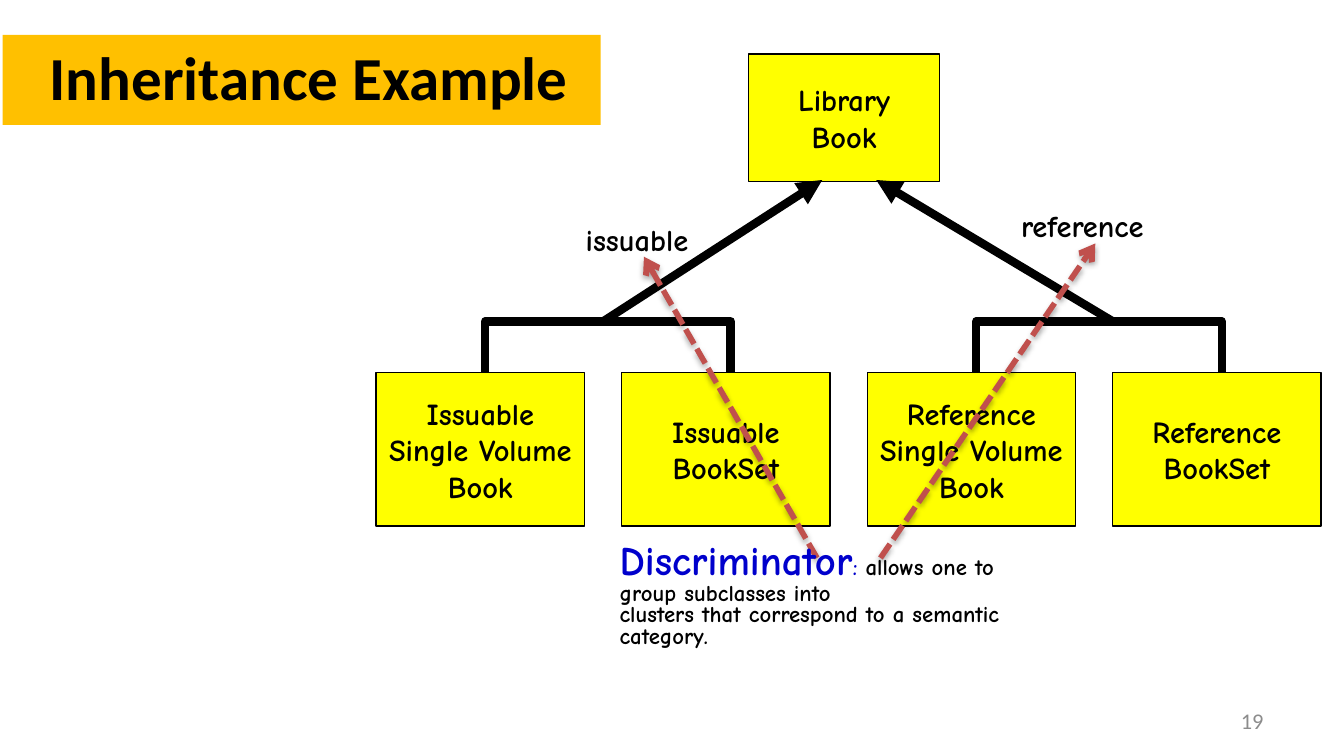
from lxml import etree
from pptx import Presentation
from pptx.dml.color import RGBColor
from pptx.enum.dml import MSO_LINE
from pptx.enum.shapes import MSO_CONNECTOR, MSO_SHAPE
from pptx.enum.text import MSO_ANCHOR, PP_ALIGN
from pptx.oxml import parse_xml
from pptx.oxml.ns import nsdecls, qn
from pptx.util import Cm, Pt

RECTANGLE = MSO_SHAPE.RECTANGLE
STRAIGHT = MSO_CONNECTOR.STRAIGHT
DASH = MSO_LINE.SQUARE_DOT
TOP, MIDDLE = MSO_ANCHOR.TOP, MSO_ANCHOR.MIDDLE
LEFT, CENTER, RIGHT = PP_ALIGN.LEFT, PP_ALIGN.CENTER, PP_ALIGN.RIGHT

SHADOW = (
    f'<a:effectLst {nsdecls("a")}><a:outerShdw blurRad="40000" dist="23000" dir="5400000">'
    '<a:srgbClr val="000000"><a:alpha val="35000"/></a:srgbClr></a:outerShdw></a:effectLst>'
)
NO_SHADOW = f'<a:effectLst {nsdecls("a")}/>'


def color(value):
    return RGBColor.from_string(value)


def write(shape, lines, size, font, align, anchor=MIDDLE, wrap=False, spacing=1, bold=True):
    frame = shape.text_frame
    frame_format = {"word_wrap": wrap, "vertical_anchor": anchor, "margin_left": 0,
                    "margin_right": 0, "margin_top": 0, "margin_bottom": 0}
    for name, value in frame_format.items():
        setattr(frame, name, value)
    for index, runs in enumerate(lines):
        paragraph = frame.add_paragraph() if index else frame.paragraphs[0]
        paragraph.alignment = align
        paragraph.line_spacing = spacing
        paragraph.space_before = Pt(0)
        for text, run_color, run_size in runs:
            run = paragraph.add_run()
            run.text = text
            run.font.color.rgb = color(run_color)
            font_format = {"name": font, "size": Pt(run_size or size), "bold": bold}
            for name, value in font_format.items():
                setattr(run.font, name, value)


presentation = Presentation()
presentation.slide_width = Cm(25.4)
presentation.slide_height = Cm(14.28)
slide = presentation.slides.add_slide(presentation.slide_layouts[5])
shapes = slide.shapes

title = shapes.title
title_format = {"left": Cm(0.05), "top": Cm(0.66), "width": Cm(11.3), "height": Cm(1.7)}
for name, value in title_format.items():
    setattr(title, name, value)
title.fill.solid()
title.fill.fore_color.rgb = color("FFC000")
write(title, [[("Inheritance Example", "000000", None)]], 32.7, "Calibri", CENTER,
      wrap=True, spacing=0.94)
title.text_frame.margin_left = Cm(0.28)

class_left, class_step, class_top = 7.11, 4.64, 7.04
class_boxes = [(14.15, 1.02, 3.61, 2.41, ["Library", "Book"])]
subclasses = [
    ["Issuable", "Single Volume", "Book"],
    ["Issuable", "BookSet"],
    ["Reference", "Single Volume", "Book"],
    ["Reference", "BookSet"],
]
for index, lines in enumerate(subclasses):
    class_boxes.append((class_left + index * class_step, class_top, 3.94, 2.9, lines))
for left, top, width, height, lines in class_boxes:
    box = shapes.add_shape(RECTANGLE, Cm(left), Cm(top), Cm(width), Cm(height))
    box.shadow.inherit = False
    box.fill.solid()
    box.fill.fore_color.rgb = color("FFFF00")
    box.line.color.rgb = color("000000")
    box.line.width = Pt(0.75)
    write(box, [[(line, "000000", None)] for line in lines], 16.3, "Comic Neue", CENTER)

bracket_top = 6.07
for index in (0, 2):
    left = class_left + index * class_step + 2.06
    right = left + class_step
    builder = shapes.build_freeform(Cm(left), Cm(class_top))
    builder.add_line_segments(
        [(Cm(left), Cm(bracket_top)), (Cm(right), Cm(bracket_top)), (Cm(right), Cm(class_top))],
        close=False)
    bracket = builder.convert_to_shape()
    bracket.shadow.inherit = False
    bracket.fill.background()
    bracket.line.color.rgb = color("000000")
    bracket.line.width = Pt(4.5)
    etree.SubElement(bracket.line._get_or_add_ln(), qn("a:round"))

arrows = [
    (11.4, bracket_top, 15.54, 3.4, "000000", 4.5, None, "triangle", NO_SHADOW),
    (21.03, bracket_top, 16.56, 3.4, "000000", 4.5, None, "triangle", NO_SHADOW),
    (15.44, 10.54, 12.17, 4.85, "C0504D", 3, DASH, "arrow", SHADOW),
    (16.64, 10.54, 20.7, 4.6, "C0504D", 3, DASH, "arrow", SHADOW),
]
for start_x, start_y, end_x, end_y, line_color, width, dash, head, effect in arrows:
    arrow = shapes.add_connector(STRAIGHT, Cm(start_x), Cm(start_y), Cm(end_x), Cm(end_y))
    arrow.line.color.rgb = color(line_color)
    arrow.line.width = Pt(width)
    if dash:
        arrow.line.dash_style = dash
    etree.SubElement(arrow.line._get_or_add_ln(), qn("a:tailEnd"), type=head)
    arrow._element.spPr.append(parse_xml(effect))

labels = [
    (11.07, 4.17, 2.18, 0.69, "issuable"),
    (19.3, 3.91, 2.74, 0.69, "reference"),
]
for left, top, width, height, text in labels:
    label = shapes.add_textbox(Cm(left), Cm(top), Cm(width), Cm(height))
    write(label, [[(text, "000000", None)]], 16.3, "Comic Neue", LEFT, TOP)

definition = shapes.add_textbox(Cm(11.71), Cm(10.74), Cm(7.98), Cm(1.07))
definition_lines = [
    [("Discriminator", "0000CC", 21.8), (": ", "0000CC", None),
     ("allows one to group subclasses into", "000000", None)],
    [("clusters that correspond to a semantic category.", "000000", None)],
]
write(definition, definition_lines, 12.2, "Comic Neue", LEFT, spacing=0.8)

page_number = shapes.add_textbox(Cm(18.21), Cm(13.23), Cm(5.92), Cm(0.76))
write(page_number, [[("19", "8C8C8C", None)]], 12, "Calibri", RIGHT, wrap=True, bold=False)
page_number.text_frame.margin_right = Cm(0.25)

presentation.save("out.pptx")
